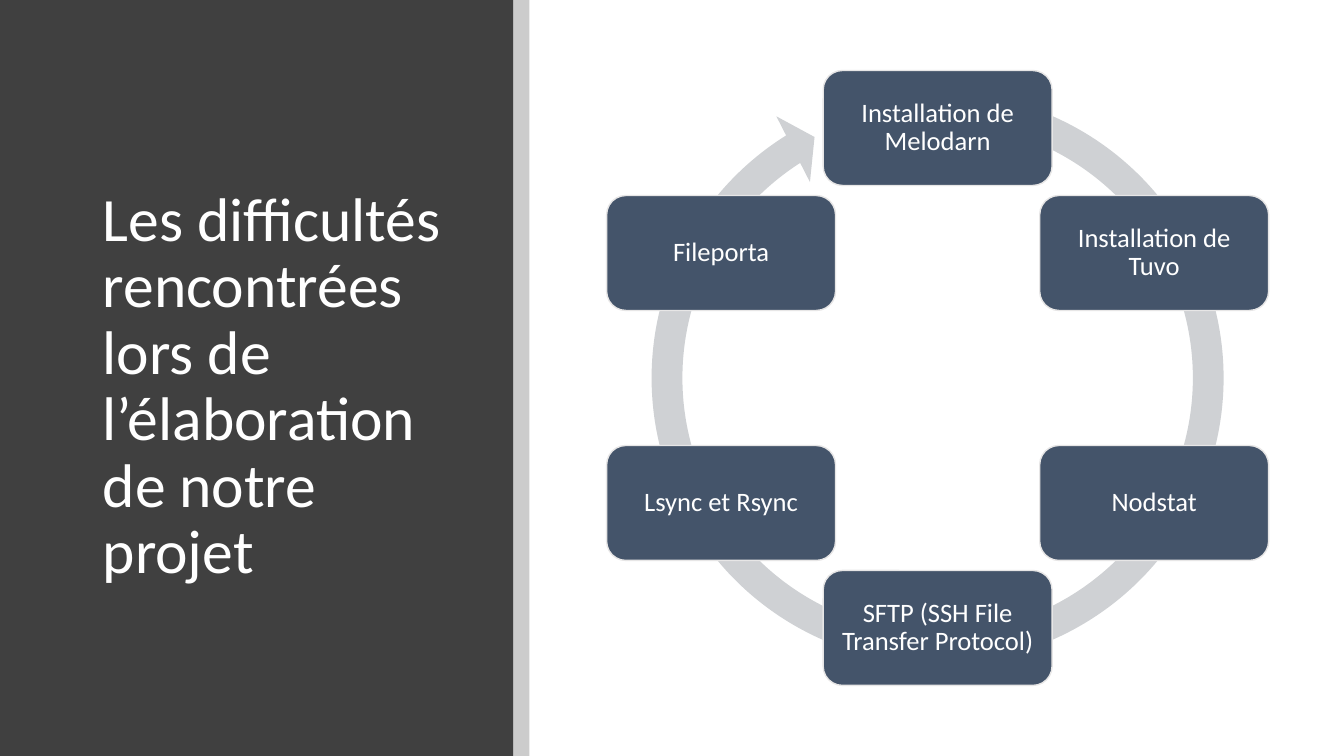
from math import cos, radians, sin

from lxml.etree import SubElement
from pptx import Presentation
from pptx.dml.color import RGBColor
from pptx.enum.shapes import MSO_SHAPE
from pptx.enum.text import MSO_ANCHOR, PP_ALIGN
from pptx.oxml.ns import qn
from pptx.util import Inches, Pt

WHITE = RGBColor(0xFF, 0xFF, 0xFF)
BLACK = RGBColor(0x00, 0x00, 0x00)
CHARCOAL = RGBColor(0x40, 0x40, 0x40)
SLATE = RGBColor(0x44, 0x54, 0x6A)
RING_GRAY = RGBColor(0xCF, 0xD1, 0xD4)
OUTLINE_GRAY = RGBColor(0xE7, 0xE6, 0xE6)

SLIDE_WIDTH, SLIDE_HEIGHT = 13.33, 7.5
PANEL_WIDTH, STRIP_WIDTH = 5.09, 0.16
CENTER_X, CENTER_Y = 9.3, SLIDE_HEIGHT / 2
RADIUS, RING_SIZE = 2.48, 6.1
BOX_WIDTH, BOX_HEIGHT = 2.27, 1.14
DIFFICULTIES = [
    "Installation de Melodarn",
    "Installation de Tuvo",
    "Nodstat",
    "SFTP (SSH File Transfer Protocol)",
    "Lsync et Rsync",
    "Fileporta",
]

presentation = Presentation()
presentation.slide_width = Inches(SLIDE_WIDTH)
presentation.slide_height = Inches(SLIDE_HEIGHT)
slide = presentation.slides.add_slide(presentation.slide_layouts[6])


def add_filled_shape(kind, left, top, width, height, color):
    shape = slide.shapes.add_shape(
        kind, Inches(left), Inches(top), Inches(width), Inches(height)
    )
    shape.shadow.inherit = False
    shape.fill.solid()
    shape.fill.fore_color.rgb = color
    shape.line.fill.background()
    return shape


def write_text(shape, text, size, alignment):
    frame = shape.text_frame
    frame.word_wrap = True
    frame.vertical_anchor = MSO_ANCHOR.MIDDLE
    paragraph = frame.paragraphs[0]
    paragraph.text = text
    paragraph.alignment = alignment
    paragraph.line_spacing = 0.9
    paragraph.font.name = "Calibri"
    paragraph.font.size = Pt(size)
    paragraph.font.color.rgb = WHITE
    return frame


add_filled_shape(MSO_SHAPE.RECTANGLE, 0, 0, PANEL_WIDTH, SLIDE_HEIGHT, CHARCOAL)
title = slide.shapes.add_textbox(Inches(0.92), Inches(0.89), Inches(3.65), Inches(5.91))
write_text(
    title,
    "Les difficultés rencontrées lors de l’élaboration de notre projet",
    44,
    PP_ALIGN.LEFT,
)

strip = add_filled_shape(
    MSO_SHAPE.RECTANGLE, PANEL_WIDTH, 0, STRIP_WIDTH, SLIDE_HEIGHT, BLACK
)
strip_color = strip.fill._xPr.find(qn("a:solidFill"))[0]
SubElement(strip_color, qn("a:alpha")).set("val", "20000")

ring = add_filled_shape(
    MSO_SHAPE.CIRCULAR_ARROW,
    CENTER_X - RING_SIZE / 2,
    CENTER_Y - RING_SIZE / 2,
    RING_SIZE,
    RING_SIZE,
    RING_GRAY,
)
for index, value in enumerate([0.05, 3.13, 142.64, 171.06, 0.06]):
    ring.adjustments[index] = value

for index, difficulty in enumerate(DIFFICULTIES):
    angle = radians(index * 360 / len(DIFFICULTIES) - 90)
    box = add_filled_shape(
        MSO_SHAPE.ROUNDED_RECTANGLE,
        CENTER_X + RADIUS * cos(angle) - BOX_WIDTH / 2,
        CENTER_Y + RADIUS * sin(angle) - BOX_HEIGHT / 2,
        BOX_WIDTH,
        BOX_HEIGHT,
        SLATE,
    )
    box.line.color.rgb = OUTLINE_GRAY
    box.line.width = Pt(1)
    frame = write_text(box, difficulty, 19, PP_ALIGN.CENTER)
    frame.margin_left = frame.margin_right = Inches(0.08)
    frame.margin_top = frame.margin_bottom = Inches(0.08)

presentation.save("out.pptx")
